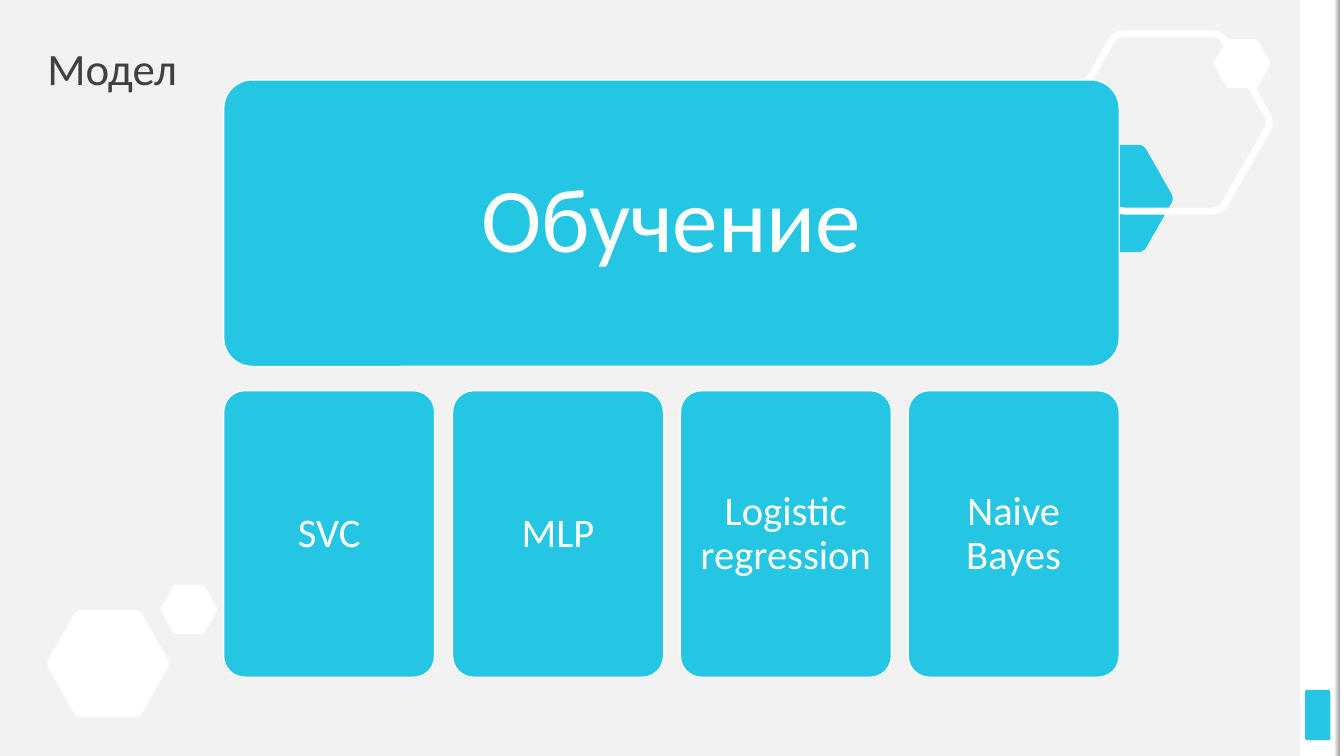
from dataclasses import dataclass

from pptx import Presentation, util as u
from pptx.dml.color import RGBColor
from pptx.enum import shapes, text

PX = 9525  # EMU in one px, 96 px to the inch
SLIDE_WIDTH, SLIDE_HEIGHT = 1280, 720


@dataclass(frozen=True)
class Theme:
    font: str = "Calibri"
    background: str = "F2F2F2"
    white: str = "FFFFFF"
    accent: str = "25C6E3"
    shade: str = "A6A6A6"
    title_color: str = "404040"
    title_size: int = 32
    heading_size: int = 65
    model_size: int = 29
    card_line: int = 1
    hexagon_line: int = 5


THEME = Theme()


def rgb(value):
    return RGBColor.from_string(value)


def paint(shape, fill=None, line=None, line_width=0):
    """Set fill and line, where None means no paint, and drop the shadow."""
    shape.shadow.inherit = False
    if fill:
        shape.fill.solid()
        shape.fill.fore_color.rgb = rgb(fill)
    else:
        shape.fill.background()
    if line:
        shape.line.color.rgb = rgb(line)
        shape.line.width = u.Pt(line_width)
    else:
        shape.line.fill.background()


def add_box(slide, kind, box, **colors):
    shape = slide.shapes.add_shape(kind, *(value * PX for value in box))
    paint(shape, **colors)
    return shape


def write(shape, words, size, color, alignment, inset=0):
    frame = shape.text_frame
    frame.word_wrap = True
    frame.vertical_anchor = text.MSO_ANCHOR.MIDDLE
    frame.margin_left = frame.margin_right = inset * PX
    frame.margin_top = frame.margin_bottom = inset * PX
    paragraph = frame.paragraphs[0]
    paragraph.text = words
    paragraph.alignment = alignment
    paragraph.line_spacing = 0.9
    paragraph.font.name = THEME.font
    paragraph.font.size = u.Pt(size)
    paragraph.font.color.rgb = rgb(color)


def between(start, end, share):
    return tuple(a + (b - a) * share for a, b in zip(start, end))


def hexagon_outline(cut=0.09, steps=6):
    """Points of a hexagon in a unit box, each corner rounded by a curve."""
    corners = [(-0.01, 0.5), (0.24, 0), (0.76, 0), (1.01, 0.5), (0.76, 1), (0.24, 1)]
    points = []
    for index, corner in enumerate(corners):
        start = between(corner, corners[index - 1], cut)
        end = between(corner, corners[(index + 1) % len(corners)], cut)
        for step in range(steps + 1):
            share = step / steps
            points.append(between(between(start, corner, share),
                                  between(corner, end, share), share))
    return points


def add_hexagon(slide, box, **colors):
    left, top, width, height = box
    points = [(round((left + x * width) * PX), round((top + y * height) * PX))
              for x, y in hexagon_outline()]
    builder = slide.shapes.build_freeform(*points[0])
    builder.add_line_segments(points[1:], close=True)
    paint(builder.convert_to_shape(), **colors)


def add_side_rail(slide, box):
    left, top, width, height = box
    rectangle = shapes.MSO_SHAPE.RECTANGLE
    add_box(slide, rectangle, (left, top, 37, height), fill=THEME.white)
    tab = add_box(slide, shapes.MSO_SHAPE.ROUNDED_RECTANGLE,
                  (left + 5, top + height - 63, 24, 48), fill=THEME.accent)
    tab.adjustments[0] = 0.07
    right = left + width
    add_box(slide, rectangle, (right - 4, top, 4, height), fill=THEME.white)
    edge = add_box(slide, rectangle, (right - 9, top, 5, height))
    edge.fill.gradient()
    edge.fill.gradient_angle = 0
    for stop, color in zip(edge.fill.gradient_stops, (THEME.background, THEME.shade)):
        stop.color.rgb = rgb(color)


def add_top_hexagons(slide, box):
    left, top = box[:2]
    add_hexagon(slide, (left, top + 106, 116, 102), fill=THEME.accent)
    add_hexagon(slide, (left + 15, top, 193, 169),
                line=THEME.white, line_width=THEME.hexagon_line)
    add_hexagon(slide, (left + 155, top + 5, 54, 47), fill=THEME.white)


def add_bottom_hexagons(slide, box):
    left, top = box[:2]
    add_hexagon(slide, (left, top + 24, 116, 102), fill=THEME.white)
    add_hexagon(slide, (left + 108, top, 54, 47), fill=THEME.white)


def add_title(slide, box, words):
    title = slide.shapes.add_textbox(*(value * PX for value in box))
    write(title, words, THEME.title_size, THEME.title_color, text.PP_ALIGN.LEFT)


def add_card(slide, box, words, size, inset):
    card = add_box(slide, shapes.MSO_SHAPE.ROUNDED_RECTANGLE, box, fill=THEME.accent,
                   line=THEME.white, line_width=THEME.card_line)
    card.adjustments[0] = 0.1
    write(card, words, size, THEME.white, text.PP_ALIGN.CENTER, inset)


def add_hierarchy(slide, box, heading, models):
    """Place a wide heading card over a row of equal model cards."""
    left, top, width, height = box
    row_gap, column_gap = 23, 17
    card_height = (height - row_gap) // 2
    add_card(slide, (left, top, width, card_height), heading, THEME.heading_size, 26)
    pitch = (width + column_gap) / len(models)
    for index, model in enumerate(models):
        card = (left + round(index * pitch), top + card_height + row_gap,
                round(pitch) - column_gap, card_height)
        add_card(slide, card, model, THEME.model_size, 11)


def add_model_slide(presentation):
    slide = presentation.slides.add_slide(presentation.slide_layouts[6])
    slide.background.fill.solid()
    slide.background.fill.fore_color.rgb = rgb(THEME.background)
    add_side_rail(slide, (1238, 0, SLIDE_WIDTH - 1238, SLIDE_HEIGHT))
    add_bottom_hexagons(slide, (45, 557, 162, 126))
    add_top_hexagons(slide, (1001, 32, 209, 208))
    add_title(slide, (45, 45, 1190, 45), "Модел")
    add_hierarchy(slide, (213, 76, 853, 569), "Обучение",
                  ["SVC", "MLP", "Logistic regression", "Naive Bayes"])


def main():
    presentation = Presentation()
    presentation.slide_width = SLIDE_WIDTH * PX
    presentation.slide_height = SLIDE_HEIGHT * PX
    add_model_slide(presentation)
    presentation.save("out.pptx")


if __name__ == "__main__":
    main()
